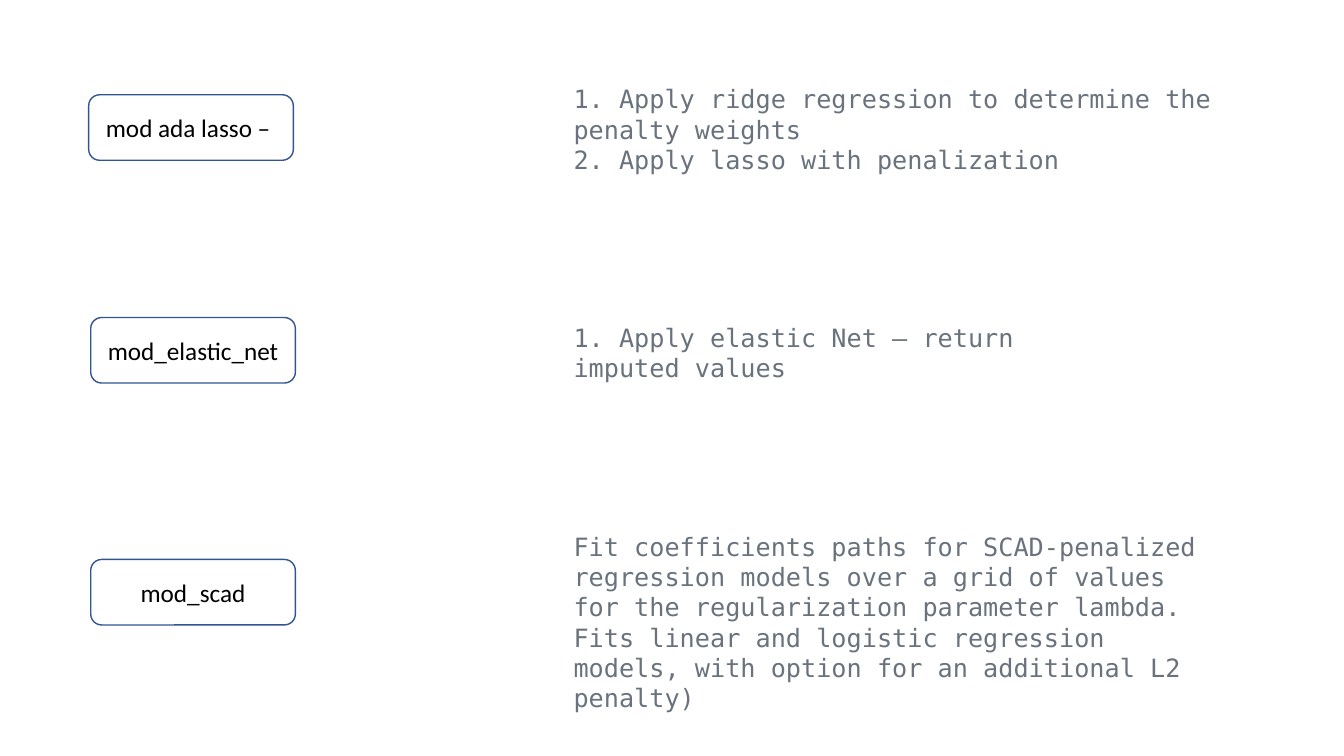
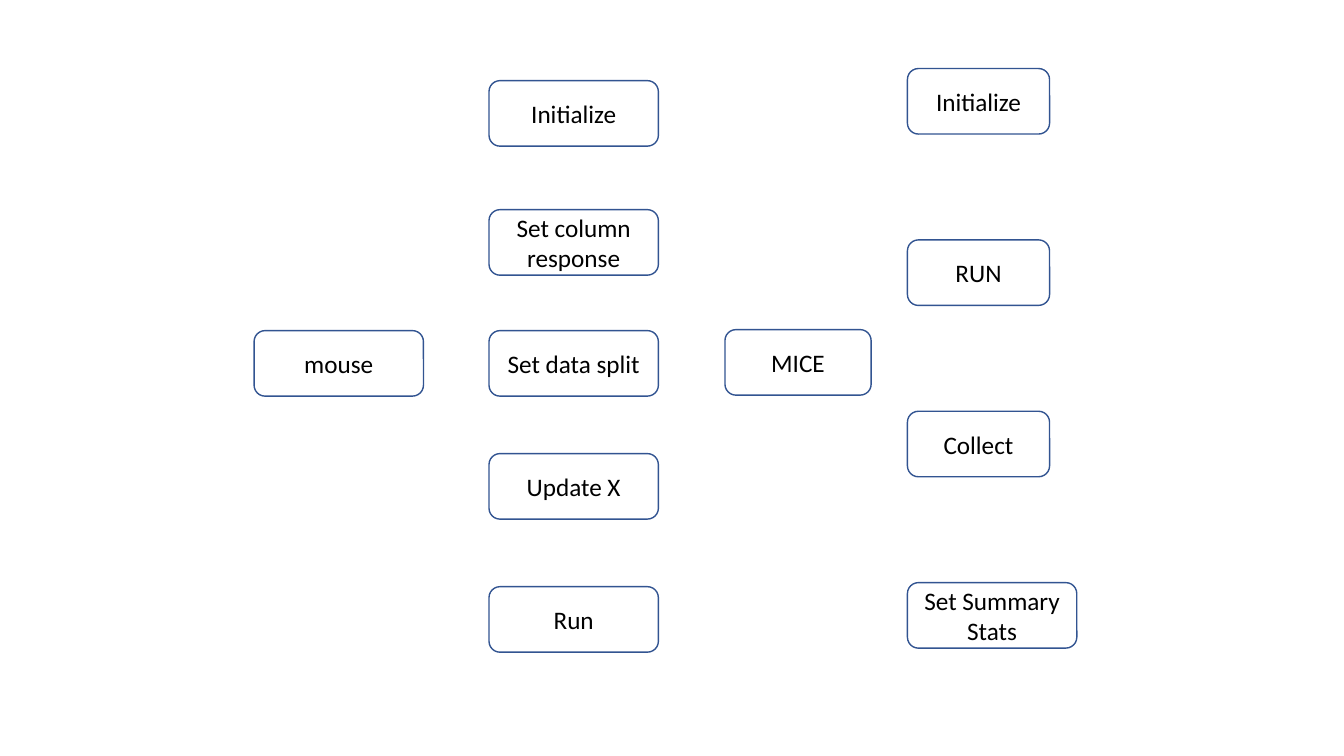
"""Two slides: imputation models with their notes, and class method overviews."""
from dataclasses import dataclass

from pptx import Presentation
from pptx.dml.color import RGBColor
from pptx.enum.shapes import MSO_SHAPE
from pptx.enum.text import MSO_ANCHOR, MSO_AUTO_SIZE, PP_ALIGN
from pptx.presentation import Presentation as Deck
from pptx.slide import Slide
from pptx.util import Inches, Pt

ROUNDED = MSO_SHAPE.ROUNDED_RECTANGLE
MIDDLE = MSO_ANCHOR.MIDDLE
CENTER = PP_ALIGN.CENTER
GROW = MSO_AUTO_SIZE.SHAPE_TO_FIT_TEXT

WHITE = RGBColor(0xFF, 0xFF, 0xFF)
BLACK = RGBColor(0x00, 0x00, 0x00)
OUTLINE_BLUE = RGBColor(0x32, 0x54, 0x91)
NOTE_GRAY = RGBColor(0x6A, 0x73, 0x7D)

LABEL_FONT = "Calibri"
NOTE_FONT = "DejaVu Sans Mono"
TEXT_SIZE = Pt(18)
BLANK_LAYOUT = 6

BOX_HEIGHT = 0.65
MODEL_WIDTH = 2.03
STEP_WIDTH = 1.68
MICE_STEP_WIDTH = 1.41
NOTE_LEFT = 5.59
MOUSE_STEPS_LEFT = 4.85
MICE_STEPS_LEFT = 9
MICE_STEPS_TOP = 0.68
MICE_STEPS_PITCH = 1.7


@dataclass(frozen=True)
class Box:
    """A rounded label box, measured in inches."""
    label: str
    left: float
    top: float
    width: float = STEP_WIDTH


@dataclass(frozen=True)
class Note:
    """A monospaced note, measured in inches."""
    lines: tuple[str, ...]
    top: float
    height: float
    width: float = 6.6


MODELS = (
    Box("mod ada lasso – ", 0.88, 0.94, MODEL_WIDTH),
    Box("mod_elastic_net", 0.9, 3.15, MODEL_WIDTH),
    Box("mod_scad", 0.9, 5.55, MODEL_WIDTH),
)
NOTES = (
    Note(("1. Apply ridge regression to determine the penalty weights",
          "2. Apply lasso with penalization"), 0.78, 0.71),
    Note(("1. Apply elastic Net – return imputed values",), 3.15, 0.4, 4.93),
    Note(("Fit coefficients paths for SCAD-penalized regression models over "
          "a grid of values for the regularization parameter lambda. Fits "
          "linear and logistic regression models, with option for an "
          "additional L2 penalty)",), 5.22, 1.31),
)
CLASSES = (Box("mouse", 2.52, 3.28), Box("MICE", 7.19, 3.27, 1.45))
MOUSE_STEPS = (
    ("Initialize", 0.8),
    ("Set column response", 2.08),
    ("Set data split", 3.28),
    ("Update X", 4.5),
    ("Run", 5.82),
)
MICE_STEPS = (
    ("Initialize", MICE_STEP_WIDTH),
    ("RUN", MICE_STEP_WIDTH),
    ("Collect", MICE_STEP_WIDTH),
    ("Set Summary Stats", STEP_WIDTH),
)


def add_box(slide: Slide, box: Box) -> None:
    """Draw a white rounded box with a centred label."""
    shape = slide.shapes.add_shape(
        ROUNDED, Inches(box.left), Inches(box.top),
        Inches(box.width), Inches(BOX_HEIGHT))
    shape.shadow.inherit = False
    shape.fill.solid()
    shape.fill.fore_color.rgb = WHITE
    shape.line.color.rgb = OUTLINE_BLUE
    shape.line.width = Pt(1)
    frame = shape.text_frame
    frame.word_wrap = True
    frame.vertical_anchor = MIDDLE
    paragraph = frame.paragraphs[0]
    paragraph.text = box.label
    paragraph.alignment = CENTER
    paragraph.font.name = LABEL_FONT
    paragraph.font.size = TEXT_SIZE
    paragraph.font.color.rgb = BLACK


def add_note(slide: Slide, note: Note) -> None:
    """Draw a wrapped note with one paragraph for each line."""
    shape = slide.shapes.add_textbox(
        Inches(NOTE_LEFT), Inches(note.top),
        Inches(note.width), Inches(note.height))
    frame = shape.text_frame
    frame.word_wrap = True
    frame.auto_size = GROW
    frame.text = "\n".join(note.lines)
    for paragraph in frame.paragraphs:
        paragraph.font.name = NOTE_FONT
        paragraph.font.size = TEXT_SIZE
        paragraph.font.color.rgb = NOTE_GRAY


def add_blank_slide(presentation: Deck) -> Slide:
    """Append a slide without placeholders."""
    return presentation.slides.add_slide(
        presentation.slide_layouts[BLANK_LAYOUT])


def build_models_slide(presentation: Deck) -> None:
    """Set each model beside its note."""
    slide = add_blank_slide(presentation)
    for box in MODELS:
        add_box(slide, box)
    for note in NOTES:
        add_note(slide, note)


def build_classes_slide(presentation: Deck) -> None:
    """Set each class beside the column of its steps."""
    slide = add_blank_slide(presentation)
    for box in CLASSES:
        add_box(slide, box)
    for label, top in MOUSE_STEPS:
        add_box(slide, Box(label, MOUSE_STEPS_LEFT, top))
    for index, (label, width) in enumerate(MICE_STEPS):
        top = MICE_STEPS_TOP + index * MICE_STEPS_PITCH
        add_box(slide, Box(label, MICE_STEPS_LEFT, top, width))


def main() -> None:
    """Build and save the presentation."""
    presentation = Presentation()
    presentation.slide_width = Inches(13.33)
    presentation.slide_height = Inches(7.5)
    build_models_slide(presentation)
    build_classes_slide(presentation)
    presentation.save("out.pptx")


main()
